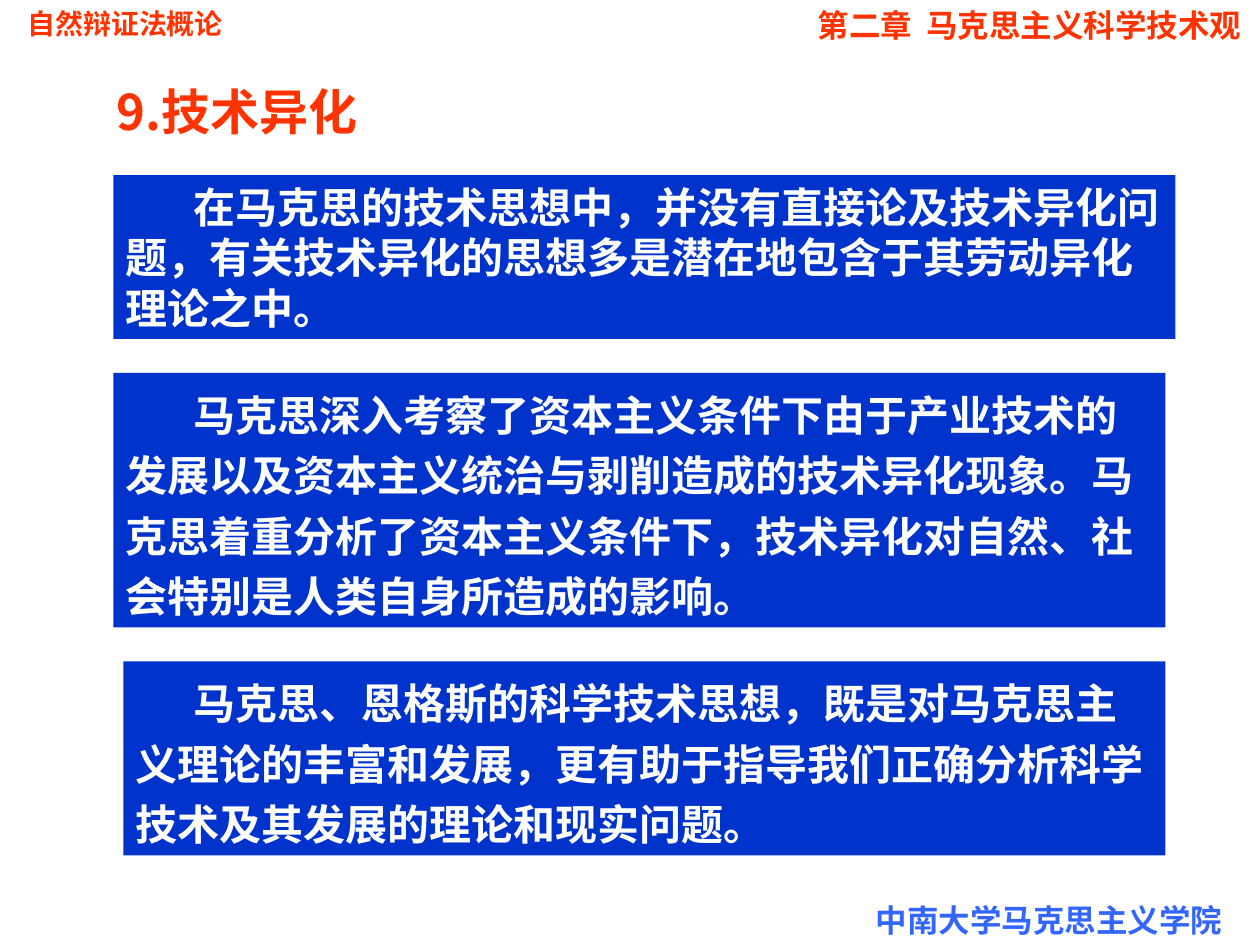
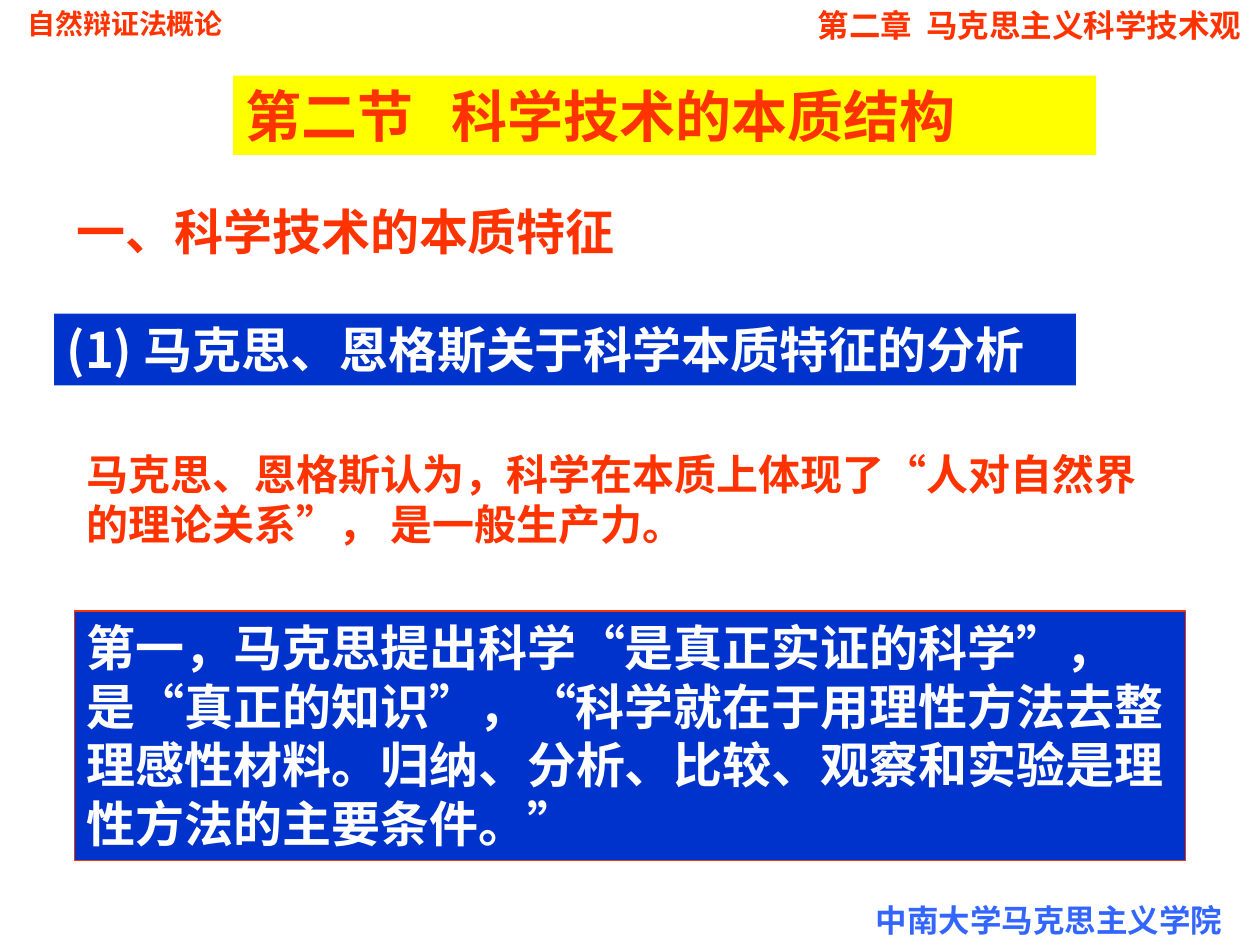
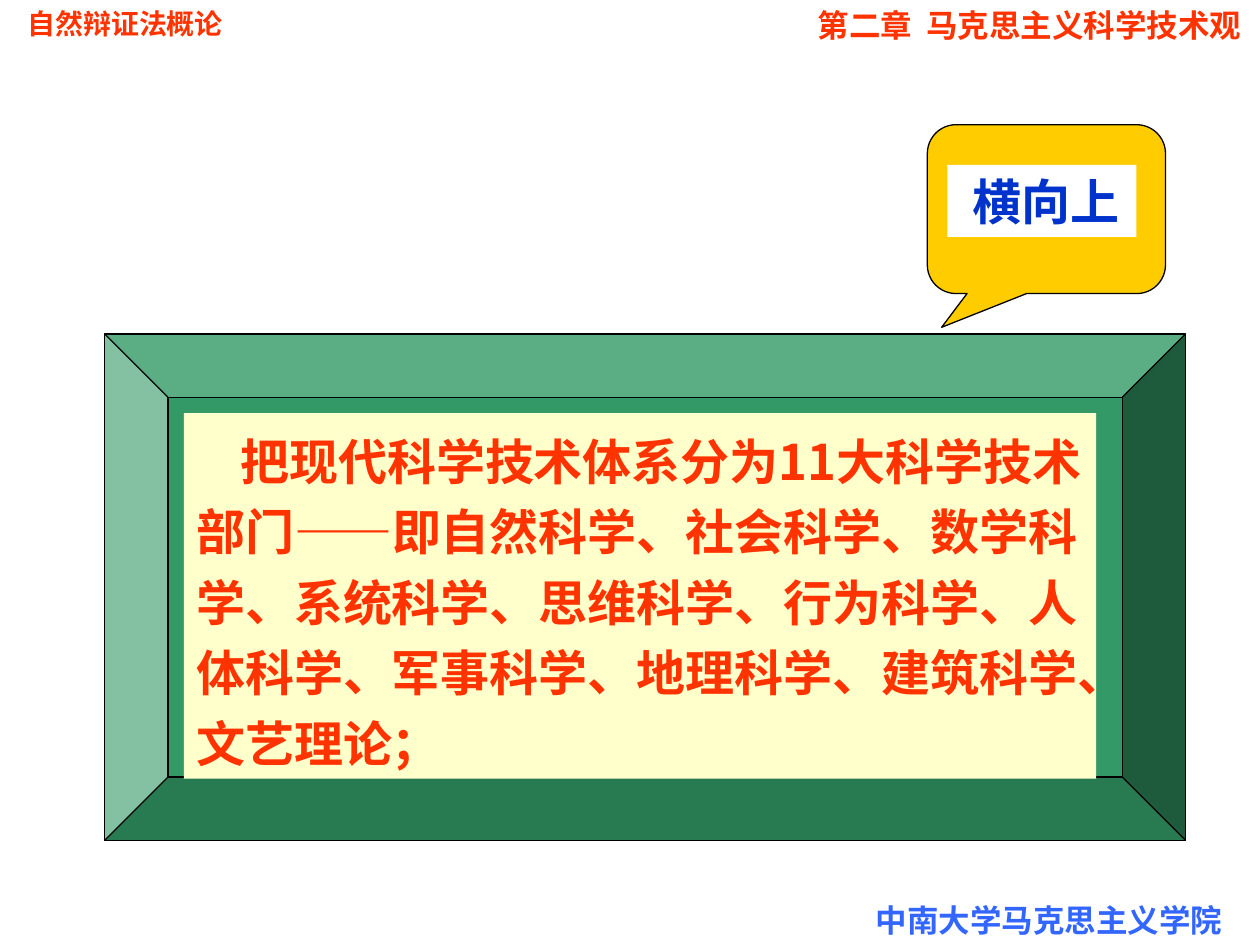
"""Build three lecture slides on the Marxist view of science and technology."""
from dataclasses import dataclass
from itertools import groupby

from pptx import Presentation
from pptx.dml.color import RGBColor
from pptx.enum.shapes import MSO_SHAPE as SHAPE
from pptx.enum.text import MSO_ANCHOR as ANCHOR, PP_ALIGN as ALIGN
from pptx.slide import Slide
from pptx.util import Inches, Pt

COLORS = {
    "red": "FF3300", "blue": "0033CC", "footer": "3366FF", "white": "FFFFFF",
    "yellow": "FFFF00", "cream": "FFFFCC", "gold": "FFCC00", "green": "339966",
    "black": "000000",
}
ARIAL = "Arial"
NOTO = "Noto Sans CJK SC"
ARIAL_MARKS = "“”—"


@dataclass(frozen=True)
class TextBlock:
    """Bold text in a rectangle, or in a plain text box when it has no fill."""
    text: str
    left: float
    top: float
    width: float
    height: float
    size: int = 24
    color: str = "white"
    font: str = ARIAL
    fill: str | None = None
    line: str | None = None
    spacing: float = 1.0
    indent: float = 0.0
    align: ALIGN = ALIGN.LEFT


@dataclass(frozen=True)
class Figure:
    """A preset shape without text."""
    kind: SHAPE
    left: float
    top: float
    width: float
    height: float
    fill: str
    adjustments: tuple[float, ...]


FRAME = (
    TextBlock("自然辩证法概论", 0.12, 0, 3.78, 0.37, 16, "red"),
    TextBlock("中南大学马克思主义学院", 6.85, 7.1, 3.15, 0.4, 18, "footer"),
    TextBlock("第二章  马克思主义科学技术观", 6.34, 0, 3.66, 0.4, 18, "red",
              align=ALIGN.CENTER),
)

ALIENATION = (
    TextBlock("9.技术异化", 0.83, 0.6, 5.83, 0.57, 28, "red", NOTO),
    TextBlock("在马克思的技术思想中，并没有直接论及技术异化问题，有关技术异化的思想"
              "多是潜在地包含于其劳动异化理论之中。",
              0.9, 1.39, 8.43, 1.3, fill="blue", indent=0.54),
    TextBlock("马克思深入考察了资本主义条件下由于产业技术的发展以及资本主义统治与剥削"
              "造成的技术异化现象。马克思着重分析了资本主义条件下，技术异化对自然、"
              "社会特别是人类自身所造成的影响。",
              0.9, 2.96, 8.35, 2.02, fill="blue", spacing=1.2, indent=0.54),
    TextBlock("马克思、恩格斯的科学技术思想，既是对马克思主义理论的丰富和发展，"
              "更有助于指导我们正确分析科学技术及其发展的理论和现实问题。",
              0.98, 5.25, 8.27, 1.54, fill="blue", spacing=1.2, indent=0.46),
)

ESSENCE = (
    TextBlock("第二节   科学技术的本质结构", 1.85, 0.6, 6.85, 0.63, 32, "red",
              fill="yellow"),
    TextBlock("一、科学技术的本质特征", 0.51, 1.55, 6.46, 0.57, 28, "red"),
    TextBlock("(1) 马克思、恩格斯关于科学本质特征的分析", 0.43, 2.49, 8.11, 0.57, 28,
              font=NOTO, fill="blue"),
    TextBlock("马克思、恩格斯认为，科学在本质上体现了“人对自然界的理论关系”，"
              " 是一般生产力。", 0.59, 3.51, 8.82, 0.9, 24, "red", NOTO),
    TextBlock("第一，马克思提出科学“是真正实证的科学”，是“真正的知识”，“科学就在于"
              "用理性方法去整理感性材料。归纳、分析、比较、观察和实验是理性方法的"
              "主要条件。”", 0.59, 4.85, 8.82, 1.98, 28, font=NOTO, fill="blue",
              line="red"),
)

DEPARTMENTS = (
    Figure(SHAPE.ROUNDED_RECTANGULAR_CALLOUT, 7.36, 0.99, 1.89, 1.34, "gold",
           (-0.44, 0.7, 0.17)),
    TextBlock("横向上", 7.52, 1.31, 1.5, 0.57, 28, "blue", fill="white", indent=0.1),
    Figure(SHAPE.BEVEL, 0.83, 2.65, 8.58, 4.02, "green", (0.125,)),
    TextBlock("把现代科学技术体系分为11大科学技术部门——即自然科学、社会科学、数学科学、"
              "系统科学、思维科学、行为科学、人体科学、军事科学、地理科学、建筑科学、"
              "文艺理论；", 1.46, 3.28, 7.24, 2.9, 28, "red", NOTO, fill="cream",
              spacing=1.2, indent=0.35),
)


def rgb(name: str) -> RGBColor:
    """Look up a named colour."""
    return RGBColor.from_string(COLORS[name])


def add_filled(s: Slide, kind: SHAPE, item: TextBlock | Figure, line: str | None):
    """Add a flat preset shape with the item's place and fill."""
    sp = s.shapes.add_shape(kind, Inches(item.left), Inches(item.top),
                            Inches(item.width), Inches(item.height))
    sp.shadow.inherit = False
    sp.fill.solid()
    sp.fill.fore_color.rgb = rgb(item.fill)
    if line:
        sp.line.color.rgb = rgb(line)
        sp.line.width = Pt(0.75)
    else:
        sp.line.fill.background()
    return sp


def draw_figure(s: Slide, figure: Figure) -> None:
    """Draw an outlined shape with its adjustments."""
    sp = add_filled(s, figure.kind, figure, "black")
    for i, value in enumerate(figure.adjustments):
        sp.adjustments[i] = value


def draw_text(s: Slide, block: TextBlock) -> None:
    """Draw a text block, giving quotes and dashes their own font."""
    if block.fill:
        sp = add_filled(s, SHAPE.RECTANGLE, block, block.line)
    else:
        sp = s.shapes.add_textbox(Inches(block.left), Inches(block.top),
                                  Inches(block.width), Inches(block.height))
    tf = sp.text_frame
    tf.word_wrap = True
    tf.vertical_anchor = ANCHOR.TOP
    p = tf.paragraphs[0]
    p.alignment = block.align
    p.line_spacing = block.spacing
    if block.indent:
        p._p.get_or_add_pPr().set("indent", str(Inches(block.indent)))
    p.font.size = Pt(block.size)
    p.font.bold = True
    p.font.color.rgb = rgb(block.color)
    p.font.name = block.font
    for is_mark, chars in groupby(block.text, lambda c: c in ARIAL_MARKS):
        r = p.add_run()
        r.text = "".join(chars)
        if is_mark:
            r.font.name = ARIAL


def main() -> None:
    """Build and save the slides."""
    prs = Presentation()
    prs.slide_width, prs.slide_height = Inches(10), Inches(7.5)
    for content in (ALIENATION, ESSENCE, DEPARTMENTS):
        s = prs.slides.add_slide(prs.slide_layouts[6])
        for item in FRAME + content:
            if isinstance(item, Figure):
                draw_figure(s, item)
            else:
                draw_text(s, item)
    prs.save("out.pptx")


if __name__ == "__main__":
    main()
